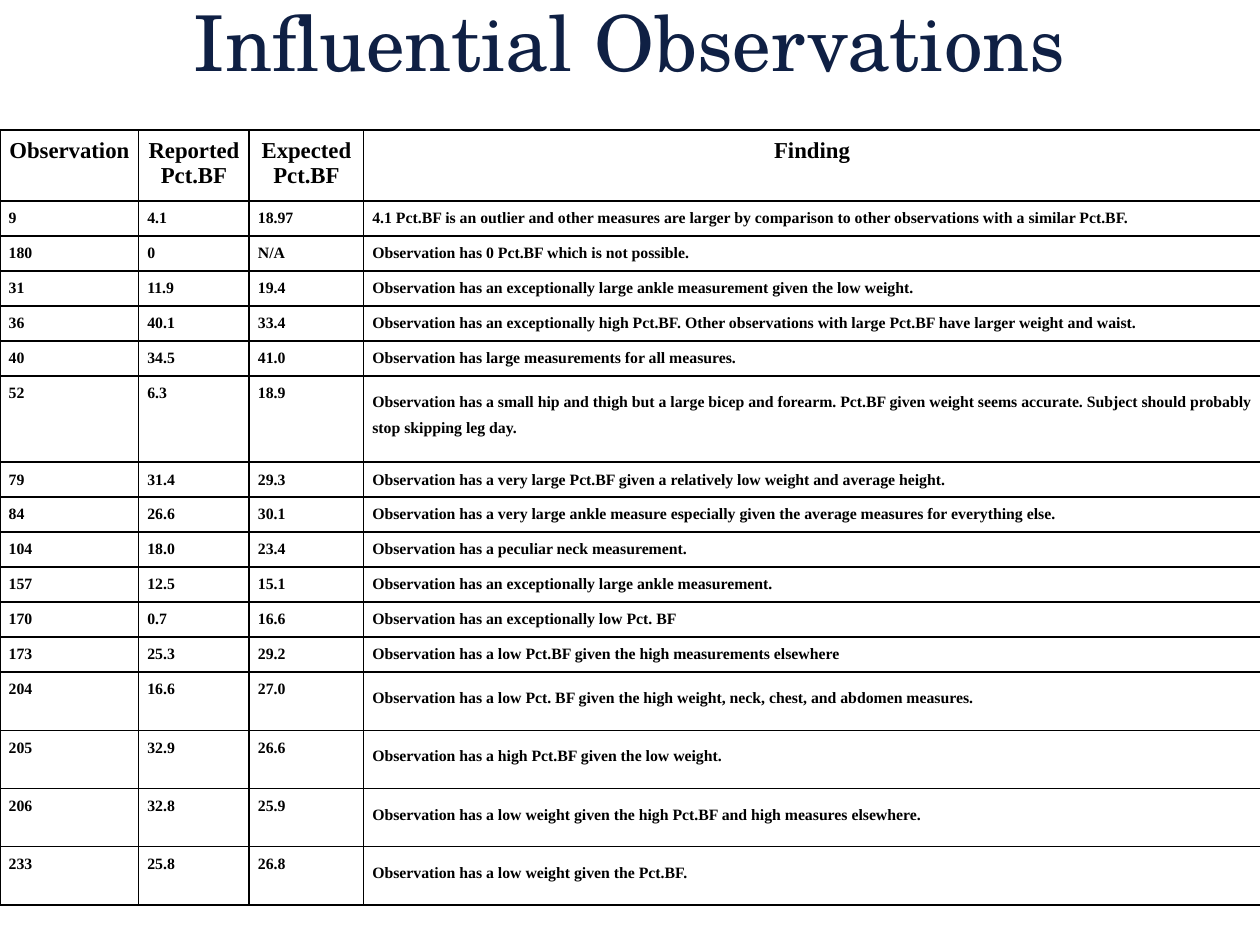
from lxml import etree
from pptx import Presentation
from pptx.dml.color import RGBColor
from pptx.enum.text import MSO_ANCHOR, PP_ALIGN
from pptx.oxml.ns import qn
from pptx.util import Pt

CENTER, LEFT = PP_ALIGN.CENTER, PP_ALIGN.LEFT
TOP = MSO_ANCHOR.TOP

THEME = {
    "title": {"font": "TeX Gyre Schola", "size": 44, "color": "0F2044"},
    "header": {"font": "Times New Roman", "size": 13, "color": "000000", "bold": True},
    "body": {"font": "Times New Roman", "size": 9, "color": "000000", "bold": True},
    "border": "000000",
}

# Content
TITLE = "Influential Observations"
HEADERS = ("Observation", "Reported Pct.BF", "Expected Pct.BF", "Finding")
OBSERVATIONS = [
    ("9", "4.1", "18.97", "4.1 Pct.BF is an outlier and other measures are larger by "
     "comparison to other observations with a similar Pct.BF."),
    ("180", "0", "N/A", "Observation has 0 Pct.BF which is not possible."),
    ("31", "11.9", "19.4", "Observation has an exceptionally large ankle measurement "
     "given the low weight."),
    ("36", "40.1", "33.4", "Observation has an exceptionally high Pct.BF. Other "
     "observations with large Pct.BF have larger weight and waist."),
    ("40", "34.5", "41.0", "Observation has large measurements for all measures."),
    ("52", "6.3", "18.9", "Observation has a small hip and thigh but a large bicep and "
     "forearm. Pct.BF given weight seems accurate. Subject should probably stop "
     "skipping leg day."),
    ("79", "31.4", "29.3", "Observation has a very large Pct.BF given a relatively low "
     "weight and average height."),
    ("84", "26.6", "30.1", "Observation has a very large ankle measure especially given "
     "the average measures for everything else."),
    ("104", "18.0", "23.4", "Observation has a peculiar neck measurement."),
    ("157", "12.5", "15.1", "Observation has an exceptionally large ankle measurement."),
    ("170", "0.7", "16.6", "Observation has an exceptionally low Pct. BF"),
    ("173", "25.3", "29.2", "Observation has a low Pct.BF given the high measurements "
     "elsewhere"),
    ("204", "16.6", "27.0", "Observation has a low Pct. BF given the high weight, neck, "
     "chest, and abdomen measures."),
    ("205", "32.9", "26.6", "Observation has a high Pct.BF given the low weight."),
    ("206", "32.8", "25.9", "Observation has a low weight given the high Pct.BF and high "
     "measures elsewhere."),
    ("233", "25.8", "26.8", "Observation has a low weight given the Pct.BF."),
]

# Layout: rows with loosely spaced findings are taller
COL_WIDTHS = (79.2, 63.2, 65.4, 512.4)
HEADER_H, ROW_H = 40.6, 20
LOOSE_HEIGHTS = {"52": 49.4, "204": 33.3, "205": 33.3, "206": 33.3, "233": 33.3}
TABLE_TOP, CELL_MARGIN = 74.2, 5


def style(p, look, align):
    p.alignment = align
    p.font.name = look["font"]
    p.font.size = Pt(look["size"])
    p.font.bold = look.get("bold", False)
    p.font.color.rgb = RGBColor.from_string(look["color"])


def set_margins(box, margin):
    box.margin_left = box.margin_right = Pt(margin)
    box.margin_top = box.margin_bottom = Pt(margin)


def add_borders(cell):
    tc_pr = cell._tc.get_or_add_tcPr()
    for i, side in enumerate(("lnL", "lnR", "lnT", "lnB")):
        ln = etree.Element(qn(f"a:{side}"), w=str(Pt(1)))
        fill = etree.SubElement(ln, qn("a:solidFill"))
        etree.SubElement(fill, qn("a:srgbClr"), val=THEME["border"])
        tc_pr.insert(i, ln)


def fill_cell(cell, text, look, align, loose):
    cell.fill.background()
    cell.vertical_anchor = TOP
    set_margins(cell, CELL_MARGIN)
    add_borders(cell)
    p = cell.text_frame.paragraphs[0]
    p.text = text
    style(p, look, align)
    if loose:
        p.line_spacing = 1.5
        p.space_after = Pt(8)


prs = Presentation()
prs.slide_width, prs.slide_height = Pt(720), Pt(540)
s = prs.slides.add_slide(prs.slide_layouts[6])

# Observations table
rows = [HEADERS] + OBSERVATIONS
heights = [HEADER_H] + [LOOSE_HEIGHTS.get(row[0], ROW_H) for row in OBSERVATIONS]
table = s.shapes.add_table(len(rows), len(HEADERS), Pt(0), Pt(TABLE_TOP),
                           Pt(sum(COL_WIDTHS)), Pt(sum(heights))).table
table.first_row = table.horz_banding = False
for column, width in zip(table.columns, COL_WIDTHS):
    column.width = Pt(width)
for i, (row, height) in enumerate(zip(rows, heights)):
    table.rows[i].height = Pt(height)
    look, align = (THEME["body"], LEFT) if i else (THEME["header"], CENTER)
    for j, text in enumerate(row):
        loose = row[0] in LOOSE_HEIGHTS and j == len(row) - 1
        fill_cell(table.cell(i, j), text, look, align, loose)

# Title
sp = s.shapes.add_textbox(Pt(3), Pt(-4.3), Pt(714), Pt(43.2))
tf = sp.text_frame
tf.word_wrap = True
tf.vertical_anchor = TOP
set_margins(tf, 7.2)
p = tf.paragraphs[0]
p.text = TITLE
p.line_spacing = 0.9
style(p, THEME["title"], CENTER)

prs.save("out.pptx")
